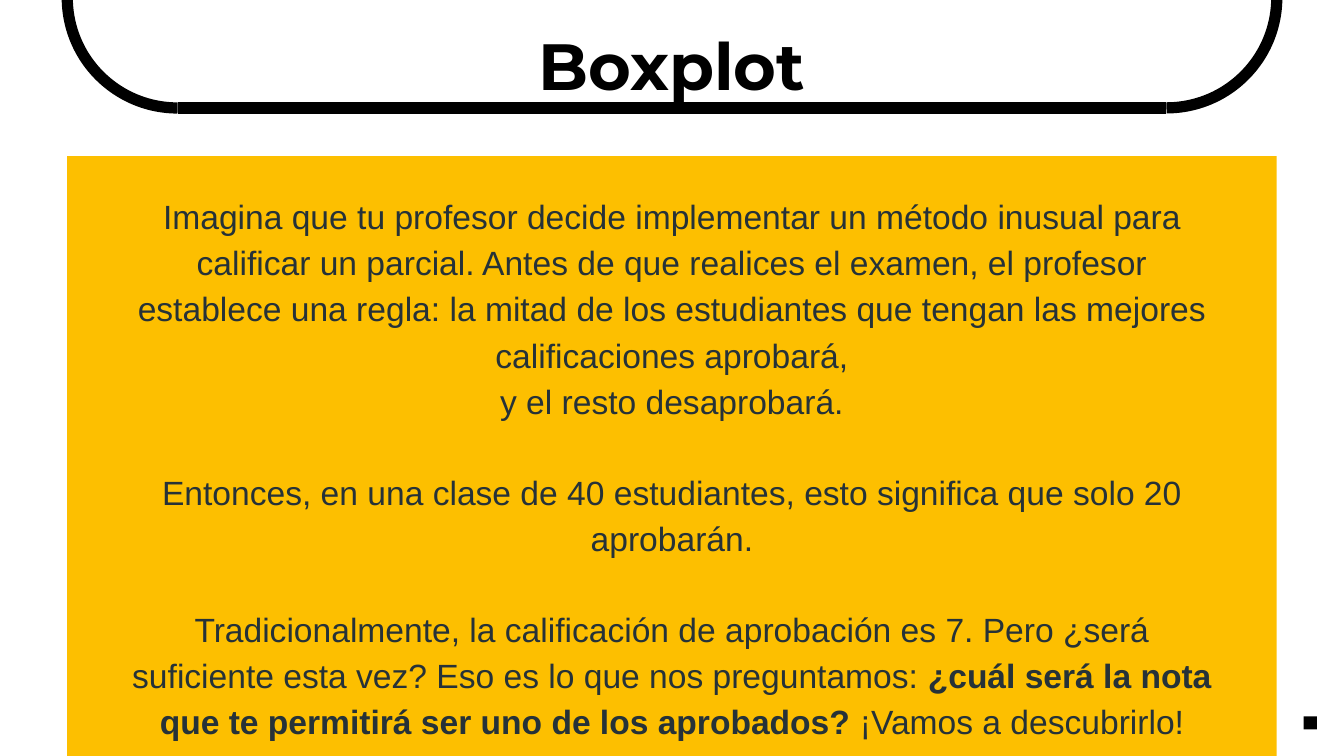
from lxml import etree
from pptx import Presentation
from pptx import util as u
from pptx.dml.color import RGBColor
from pptx.enum import shapes, text
from pptx.oxml.ns import qn

BLACK = "000000"
YELLOW = "FDBF00"
SLATE = "263238"

MARGIN = 1.27
CONTENT_WIDTH = 22.86
ARC_SIZE = 4.17
FRAME_BOTTOM = 2.04
BLOCK_GAP = 23.8

PARAGRAPHS = [
    (0, [("Imagina que tu profesor decide implementar un método inusual para "
          "calificar un parcial. Antes de que realices el examen, el profesor "
          "establece una regla: la mitad de los estudiantes que tengan las "
          "mejores calificaciones aprobará,", False)]),
    (0, [("y el resto desaprobará.", False)]),
    (BLOCK_GAP, [("Entonces, en una clase de 40 estudiantes, esto significa "
                  "que solo 20 aprobarán.", False)]),
    (BLOCK_GAP, [("Tradicionalmente, la calificación de aprobación es 7. Pero "
                  "¿será suficiente esta vez? Eso es lo que nos preguntamos: ", False),
                 ("¿cuál será la nota que te permitirá ser uno de los aprobados?", True),
                 (" ¡Vamos a descubrirlo!", False)]),
]


def color(value):
    return RGBColor.from_string(value)


def add_block(slide, left, top, width, height, fill):
    block = slide.shapes.add_shape(
        shapes.MSO_SHAPE.RECTANGLE, u.Cm(left), u.Cm(top), u.Cm(width), u.Cm(height))
    block.shadow.inherit = False
    block.fill.solid()
    block.fill.fore_color.rgb = color(fill)
    block.line.fill.background()


def style_line(shape):
    shape.line.color.rgb = color(BLACK)
    shape.line.width = u.Pt(6)


def add_corner(slide, left, rotation):
    corner = slide.shapes.add_shape(
        shapes.MSO_SHAPE.ARC, u.Cm(left), u.Cm(FRAME_BOTTOM - ARC_SIZE),
        u.Cm(ARC_SIZE), u.Cm(ARC_SIZE))
    corner.rotation = rotation
    corner.shadow.inherit = False
    corner.fill.background()
    style_line(corner)


def add_rule(slide, start, end, top):
    rule = slide.shapes.add_connector(
        shapes.MSO_CONNECTOR.STRAIGHT, u.Cm(start), u.Cm(top), u.Cm(end), u.Cm(top))
    style_line(rule)
    etree.SubElement(rule.element.spPr, qn("a:effectLst"))


def place_text(shape, left, top, width, height):
    shape.left, shape.top = u.Cm(left), u.Cm(top)
    shape.width, shape.height = u.Cm(width), u.Cm(height)
    shape.element.getparent().append(shape.element)
    frame = shape.text_frame
    frame.margin_left = frame.margin_right = 0
    frame.margin_top = frame.margin_bottom = 0
    frame.word_wrap = True
    frame.auto_size = text.MSO_AUTO_SIZE.NONE
    frame.vertical_anchor = text.MSO_ANCHOR.TOP
    return frame


def style_paragraph(paragraph, font_name, size, font_color, gap=0):
    paragraph.alignment = text.PP_ALIGN.CENTER
    paragraph.line_spacing = 1.15
    paragraph.space_before = u.Pt(gap)
    paragraph.space_after = u.Pt(0)
    properties = paragraph._p.get_or_add_pPr()
    properties.set("marL", "0")
    properties.set("indent", "0")
    etree.SubElement(properties, qn("a:buNone"))
    paragraph.font.name = font_name
    paragraph.font.size = u.Pt(size)
    paragraph.font.color.rgb = color(font_color)


def fill_title(slide):
    frame = place_text(slide.shapes.title, MARGIN, 0.25, CONTENT_WIDTH, 1.5)
    paragraph = frame.paragraphs[0]
    paragraph.text = "Boxplot"
    style_paragraph(paragraph, "Montserrat", 35, BLACK)
    paragraph.font.bold = True


def fill_body(slide):
    frame = place_text(slide.placeholders[1], 2.44, 3.58, 20.52, 10.08)
    for index, (gap, runs) in enumerate(PARAGRAPHS):
        paragraph = frame.add_paragraph() if index else frame.paragraphs[0]
        style_paragraph(paragraph, "Arial", 18, SLATE, gap)
        for wording, bold in runs:
            run = paragraph.add_run()
            run.text = wording
            run.font.bold = bold


def main():
    presentation = Presentation()
    presentation.slide_width = u.Cm(25.4)
    presentation.slide_height = u.Cm(14.29)
    slide = presentation.slides.add_slide(presentation.slide_layouts[1])

    right = MARGIN + CONTENT_WIDTH
    add_block(slide, 24.64, 13.54, 0.25, 0.25, BLACK)
    add_block(slide, MARGIN, 2.95, CONTENT_WIDTH, 11.34, YELLOW)
    add_corner(slide, right - ARC_SIZE, 90)
    add_rule(slide, right - ARC_SIZE / 2, MARGIN + ARC_SIZE / 2, FRAME_BOTTOM)
    add_corner(slide, MARGIN, 180)
    fill_title(slide)
    fill_body(slide)
    presentation.save("out.pptx")


if __name__ == "__main__":
    main()
